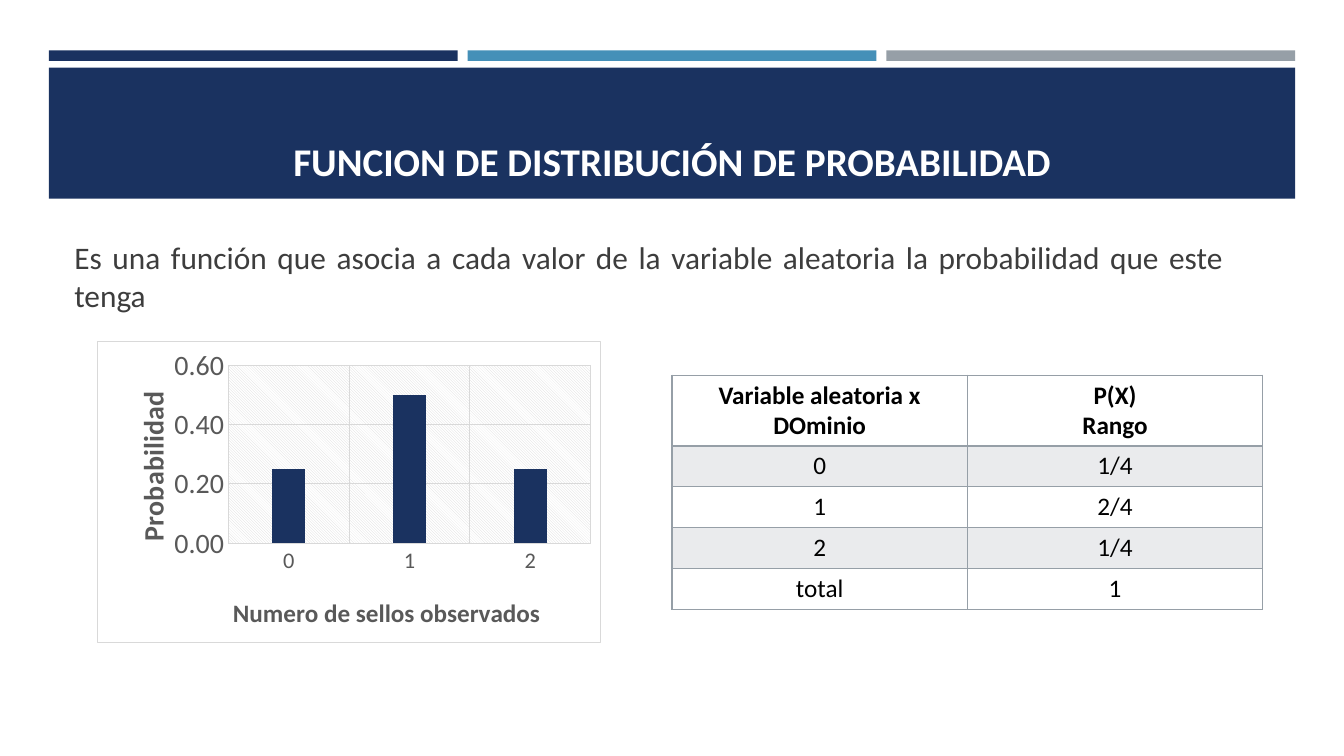
from lxml import etree
from pptx import Presentation
from pptx.chart.data import CategoryChartData
from pptx.dml.color import RGBColor
from pptx.enum.chart import XL_CHART_TYPE as CT, XL_TICK_MARK as TICK
from pptx.enum.dml import MSO_PATTERN as PAT
from pptx.enum.shapes import MSO_SHAPE as SHAPE
from pptx.enum.text import MSO_ANCHOR as ANCHOR, PP_ALIGN as AL
from pptx.oxml import parse_xml
from pptx.oxml.ns import qn
from pptx.util import Pt

NAVY = RGBColor(0x1A, 0x32, 0x60)
BLUE = RGBColor(0x45, 0x90, 0xB8)
GRAY = RGBColor(0x96, 0x9F, 0xA7)
TEXT = RGBColor(0x3D, 0x3D, 0x3D)
LABEL = RGBColor(0x59, 0x59, 0x59)
GRID = RGBColor(0xD9, 0xD9, 0xD9)
WHITE = RGBColor(0xFF, 0xFF, 0xFF)
BLACK = RGBColor(0, 0, 0)
FONT = "Calibri"
NS = ('xmlns:a="http://schemas.openxmlformats.org/drawingml/2006/main" '
      'xmlns:c="http://schemas.openxmlformats.org/drawingml/2006/chart"')
ROWS = [("Variable aleatoria x\nDOminio", "P(X)\nRango"),
        ("0", "1/4"), ("1", "2/4"), ("2", "1/4"), ("total", "1")]


def assign(obj, **values):
    """Set each named attribute of an object."""
    for name, value in values.items():
        setattr(obj, name, value)


def style(font, size, color, bold=False):
    """Format a font."""
    assign(font, name=FONT, size=Pt(size), bold=bold)
    font.color.rgb = color


def write(tf, text, align, size, color, bold=False):
    """Fill a text frame, one paragraph per line."""
    tf.text = text
    for p in tf.paragraphs:
        p.alignment = align
        for r in p.runs:
            style(r.font, size, color, bold)


def add_bar(s, x, y, w, h, color):
    """Draw a plain filled rectangle."""
    sp = s.shapes.add_shape(SHAPE.RECTANGLE, Pt(x), Pt(y), Pt(w), Pt(h))
    sp.shadow.inherit = False
    sp.fill.solid()
    sp.fill.fore_color.rgb = color
    sp.line.fill.background()


def add_header(s, x, y, w, h):
    """Place the three stripes, the band and the title."""
    gap = 7.2
    stripe = (w - 2 * gap) / 3
    for i, color in enumerate((NAVY, BLUE, GRAY)):
        add_bar(s, x + i * (stripe + gap), y, stripe, 7.5, color)
    add_bar(s, x, y + 12.4, w, h - 12.4, NAVY)
    title = s.shapes.title
    assign(title, left=Pt(x + 11.2), top=Pt(y + 19.4),
           width=Pt(w - 22.4), height=Pt(80))
    assign(title.text_frame, vertical_anchor=ANCHOR.BOTTOM, word_wrap=True)
    write(title.text_frame, "FUNCION DE DISTRIBUCIÓN DE PROBABILIDAD",
          AL.CENTER, 28, WHITE, True)
    s.shapes._spTree.append(title._element)


def add_definition(s, x, y, w, h):
    """Place the justified definition."""
    tf = s.shapes.add_textbox(Pt(x), Pt(y), Pt(w), Pt(h)).text_frame
    assign(tf, word_wrap=True, vertical_anchor=ANCHOR.MIDDLE)
    write(tf, "Es una función que asocia a cada valor de la variable "
          "aleatoria la probabilidad que este tenga", AL.JUSTIFY, 22.4, TEXT)
    tf.paragraphs[0].space_after = Pt(6)


def set_borders(cell, top, bottom):
    """Draw the four borders of a cell."""
    tc_pr = cell._tc.get_or_add_tcPr()
    for i, (side, width) in enumerate(
            (("L", 1), ("R", 1), ("T", top), ("B", bottom))):
        tc_pr.insert(i, parse_xml(
            f'<a:ln{side} {NS} w="{Pt(width)}"><a:solidFill>'
            f'<a:srgbClr val="{GRAY}"/></a:solidFill></a:ln{side}>'))


def add_distribution_table(s, x, y, w, h):
    """Place the table of values and probabilities."""
    table = s.shapes.add_table(len(ROWS), 2, Pt(x), Pt(y), Pt(w), Pt(h)).table
    row_h = 29.25
    for i, row in enumerate(ROWS):
        table.rows[i].height = Pt(row_h if i else h - 4 * row_h)
        for j, text in enumerate(row):
            cell = table.cell(i, j)
            write(cell.text_frame, text, AL.CENTER, 18, BLACK, i == 0)
            if i % 2:
                cell.fill.solid()
                cell.fill.fore_color.rgb = GRAY
                color = cell._tc.tcPr.find(".//" + qn("a:srgbClr"))
                etree.SubElement(color, qn("a:alpha"), val="20000")
            else:
                cell.fill.background()
            set_borders(cell, 2 if i == 1 else 1, 2 if i == 0 else 1)


def set_layout(parent, index, **sides):
    """Give a chart part a manual layout in fractions of the chart."""
    old = parent.find(qn("c:layout"))
    if old is not None:
        parent.remove(old)
    inner = '<c:layoutTarget val="inner"/>' if "w" in sides else ""
    modes = '<c:xMode val="edge"/><c:yMode val="edge"/>'
    values = "".join(f'<c:{k} val="{v}"/>' for k, v in sides.items())
    parent.insert(index, parse_xml(
        f'<c:layout {NS}><c:manualLayout>{inner}{modes}{values}'
        '</c:manualLayout></c:layout>'))


def format_axis(axis, title, title_size, size, x, y):
    """Format an axis, its grid and its title."""
    assign(axis, has_major_gridlines=True, major_tick_mark=TICK.NONE,
           minor_tick_mark=TICK.NONE)
    style(axis.tick_labels.font, size, LABEL)
    grid = axis.major_gridlines.format.line
    grid.color.rgb = GRID
    grid.width = Pt(0.75)
    write(axis.axis_title.text_frame, title, AL.CENTER, title_size, LABEL, True)
    set_layout(axis.axis_title._element, 1, x=x, y=y)


def add_probability_chart(s, x, y, w, h):
    """Place the column chart of probabilities."""
    data = CategoryChartData(number_format="0.00")
    data.categories = ["0", "1", "2"]
    data.add_series("Series 1", (0.25, 0.5, 0.25))
    chart = s.shapes.add_chart(CT.COLUMN_CLUSTERED, Pt(x), Pt(y), Pt(w), Pt(h),
                               data).chart
    assign(chart, has_legend=False, has_title=False)
    style(chart.font, 10, BLACK)
    plot = chart.plots[0]
    assign(plot, gap_width=267, overlap=-43, vary_by_categories=False)
    fill = plot.series[0].format.fill
    fill.solid()
    fill.fore_color.rgb = NAVY
    cat, val = chart.category_axis, chart.value_axis
    format_axis(cat, "Numero de sellos observados", 18, 16, 0.26, 0.83)
    format_axis(val, "Probabilidad", 20, 20, 0.06, 0.15)
    cat.format.line.color.rgb = GRID
    cat.format.line.width = Pt(0.75)
    val.format.line.fill.background()
    assign(val, minimum_scale=0, maximum_scale=0.6, major_unit=0.2)
    assign(val.tick_labels, number_format="0.00", number_format_is_linked=False)
    space = chart._chartSpace
    area = space.find(".//" + qn("c:plotArea"))
    set_layout(area, 0, x=0.26, y=0.08, w=0.72, h=0.59)
    area.append(parse_xml(
        f'<c:spPr {NS}><a:pattFill prst="{PAT.to_xml(PAT.LIGHT_DOWNWARD_DIAGONAL)}">'
        f'<a:fgClr><a:srgbClr val="{GRID}"/></a:fgClr>'
        f'<a:bgClr><a:srgbClr val="{WHITE}"/></a:bgClr></a:pattFill></c:spPr>'))
    space.find(qn("c:chart")).addnext(parse_xml(
        f'<c:spPr {NS}><a:solidFill><a:srgbClr val="{WHITE}"/></a:solidFill>'
        f'<a:ln w="{Pt(0.75)}"><a:solidFill><a:srgbClr val="{GRID}"/>'
        '</a:solidFill></a:ln></c:spPr>'))


def main():
    """Build and save the slide."""
    prs = Presentation()
    assign(prs, slide_width=Pt(960), slide_height=Pt(540))
    s = prs.slides.add_slide(prs.slide_layouts[5])
    add_header(s, 34.9, 36, 890.2, 106)
    add_definition(s, 46, 171.4, 836, 51)
    add_probability_chart(s, 69.4, 243.7, 360, 215.6)
    add_distribution_table(s, 480, 268, 422, 167.4)
    prs.save("out.pptx")


if __name__ == "__main__":
    main()
